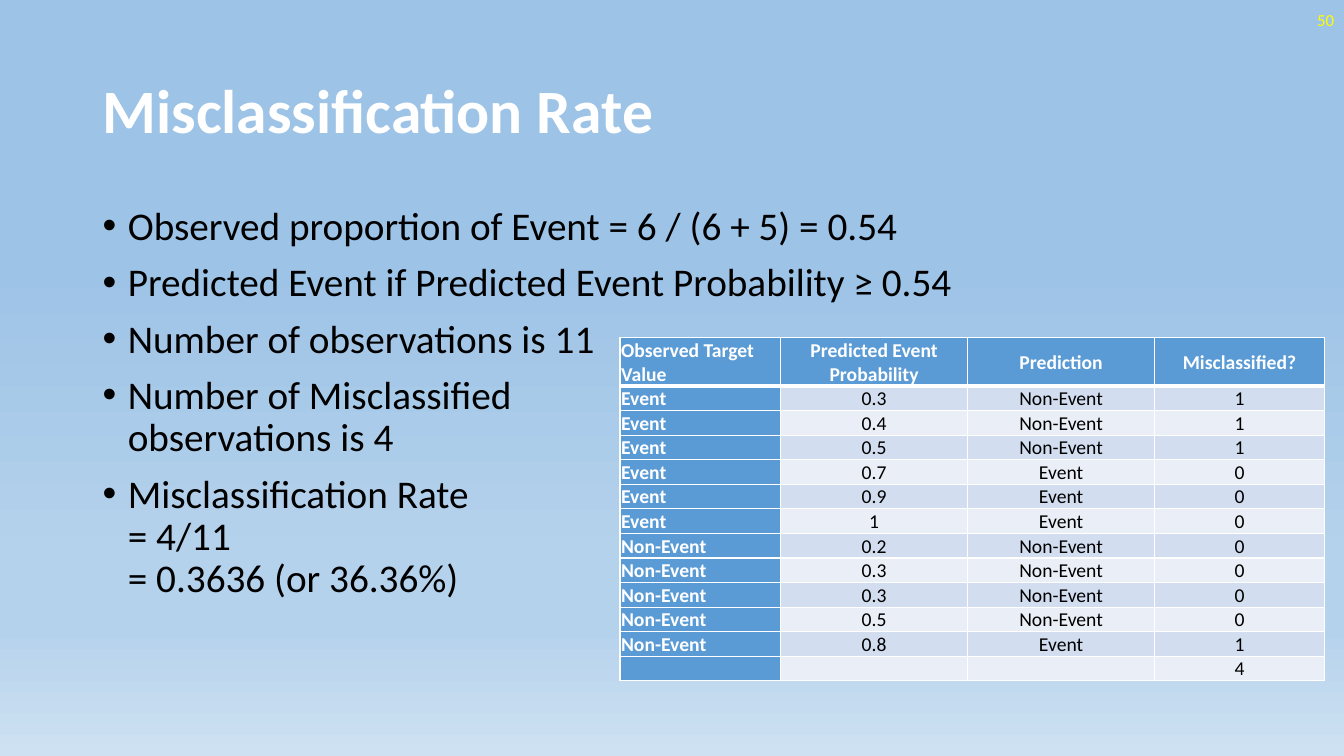
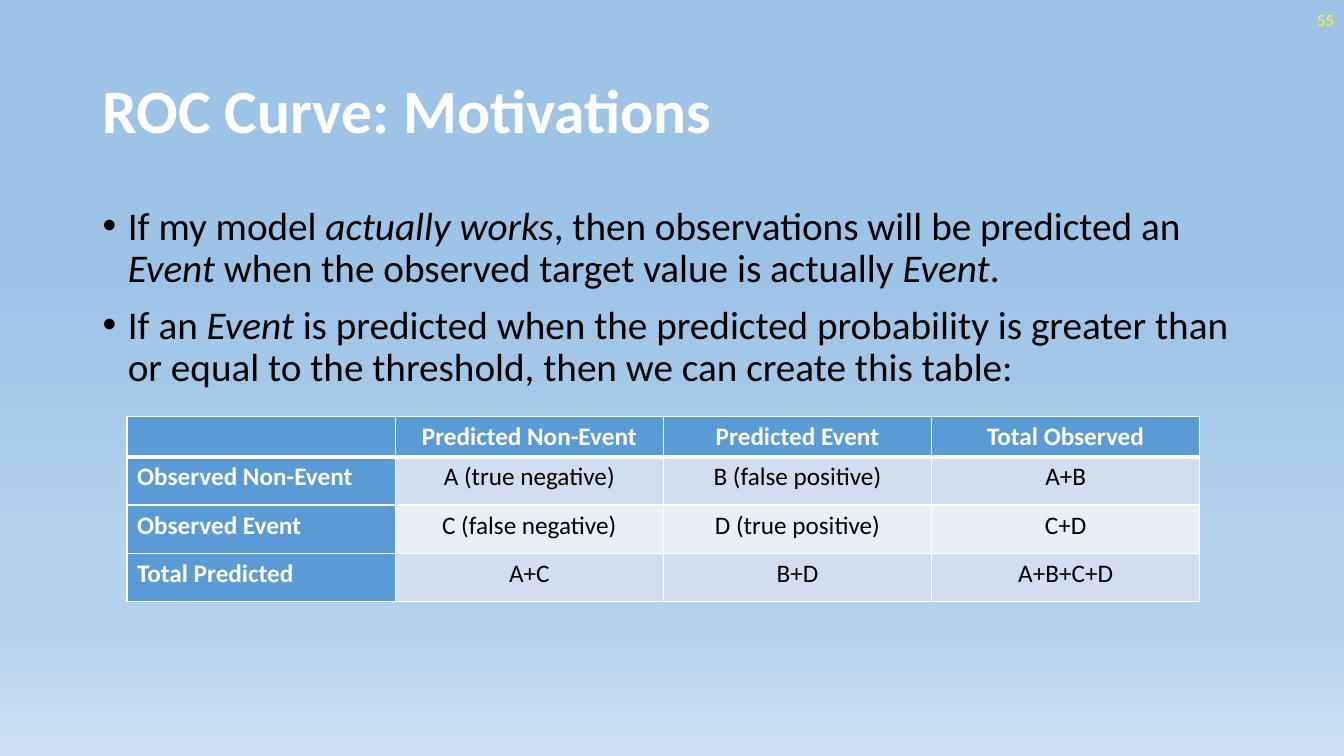
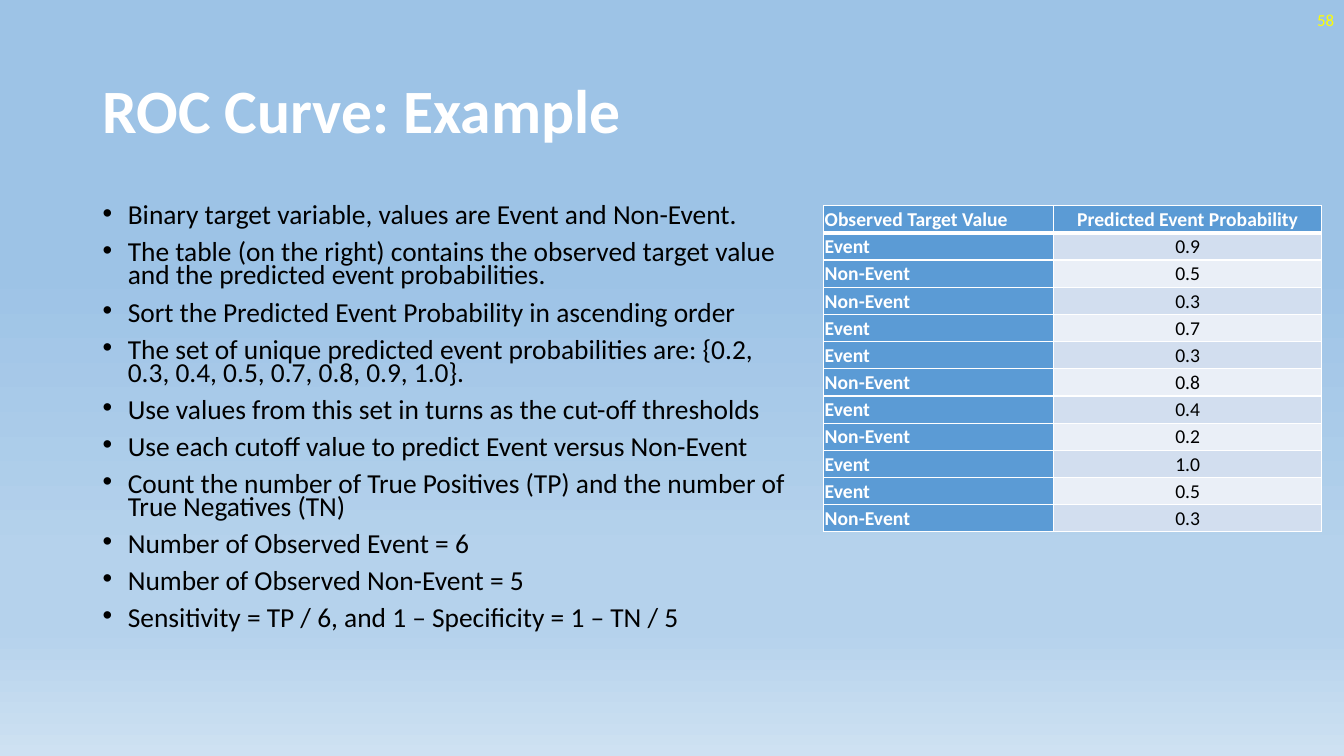
from dataclasses import dataclass

from pptx import Presentation
from pptx.dml.color import RGBColor
from pptx.enum.text import MSO_ANCHOR, PP_ALIGN
from pptx.oxml import parse_xml
from pptx.oxml.ns import nsdecls, qn
from pptx.oxml.xmlchemy import OxmlElement
from pptx.util import Inches, Pt


@dataclass(frozen=True)
class Theme:
    font: str = "Calibri"
    white: str = "FFFFFF"
    black: str = "000000"
    yellow: str = "FFFF00"
    accent: str = "5B9BD5"
    bands: tuple = ("D2DEEF", "EAEFF7")
    gradient: tuple = ((35, "9DC3E6"), (74, "B5D2EC"), (83, "B5D2EC"), (100, "CEE1F2"))
    title_size: float = 44
    body_size: float = 28
    small_body_size: float = 19.6
    table_size: float = 18
    dense_table_size: float = 14
    number_size: float = 12
    thin_line: float = 1
    thick_line: float = 3


class Deck:
    """Builds slides in one style, keeping the theme and the current slide."""

    def __init__(self, theme):
        self.theme = theme
        self.slide = None
        self.presentation = Presentation()
        self.presentation.slide_width = Inches(13.33)
        self.presentation.slide_height = Inches(7.5)
        self.paint_background()

    def paint_background(self):
        master = self.presentation.slide_master
        fill = master.background.fill
        fill.gradient()
        fill.gradient_angle = 270
        stops = "".join(
            f'<a:gs pos="{position * 1000}"><a:srgbClr val="{color}"/></a:gs>'
            for position, color in self.theme.gradient
        )
        stop_list = next(master.element.iter(qn("a:gsLst")))
        stop_list.getparent().replace(
            stop_list, parse_xml(f"<a:gsLst {nsdecls('a')}>{stops}</a:gsLst>")
        )

    def add_slide(self, title, number):
        theme = self.theme
        self.slide = self.presentation.slides.add_slide(self.presentation.slide_layouts[6])
        frame = self.add_text_frame(0.92, 0.4, 11.5, 1.45, MSO_ANCHOR.MIDDLE)
        paragraph = frame.paragraphs[0]
        paragraph.text = title
        paragraph.line_spacing = 0.9
        self.set_font(paragraph, theme.title_size, theme.white, bold=True)
        frame = self.add_text_frame(10.33, 0, 3, 0.4, MSO_ANCHOR.MIDDLE)
        paragraph = frame.paragraphs[0]
        paragraph.text = number
        paragraph.alignment = PP_ALIGN.RIGHT
        self.set_font(paragraph, theme.number_size, theme.yellow)

    def add_text_frame(self, left, top, width, height, anchor):
        box = self.slide.shapes.add_textbox(
            Inches(left), Inches(top), Inches(width), Inches(height)
        )
        frame = box.text_frame
        frame.word_wrap = True
        frame.vertical_anchor = anchor
        return frame

    def set_font(self, paragraph, size, color, bold=False):
        font = paragraph.font
        font.name = self.theme.font
        font.size = Pt(size)
        font.bold = bold
        font.color.rgb = RGBColor.from_string(color)

    def add_bullets(self, items, width=11.5, size=None, line_spacing=0.9):
        frame = self.add_text_frame(0.92, 2, width, 4.76, MSO_ANCHOR.TOP)
        for index, item in enumerate(items):
            paragraph = frame.add_paragraph() if index else frame.paragraphs[0]
            self.write_emphasis(paragraph, item)
            paragraph.line_spacing = line_spacing
            paragraph.space_before = Pt(10)
            self.set_font(paragraph, size or self.theme.body_size, self.theme.black)
            self.set_bullet(paragraph)

    def write_emphasis(self, paragraph, text):
        if "*" not in text:
            paragraph.text = text
            return
        for index, part in enumerate(text.split("*")):
            run = paragraph.add_run()
            run.text = part
            run.font.italic = index % 2 == 1

    def set_bullet(self, paragraph):
        properties = paragraph._p.get_or_add_pPr()
        properties.set("marL", str(Inches(0.25)))
        properties.set("indent", str(-Inches(0.25)))
        typeface = OxmlElement("a:buFont")
        typeface.set("typeface", "Arial")
        bullet = OxmlElement("a:buChar")
        bullet.set("char", "•")
        defaults = properties.find(qn("a:defRPr"))
        defaults.addprevious(typeface)
        defaults.addprevious(bullet)

    def add_table(self, left, top, widths, heights, rows, dense=True):
        shape = self.slide.shapes.add_table(
            len(rows), len(widths), Inches(left), Inches(top),
            Inches(sum(widths)), Inches(sum(heights)),
        )
        table = shape.table
        table.first_col = True
        for column, width in zip(table.columns, widths):
            column.width = Inches(width)
        for row, height in zip(table.rows, heights):
            row.height = Inches(height)
        for row_index, values in enumerate(rows):
            for column_index, value in enumerate(values):
                cell = table.cell(row_index, column_index)
                self.fill_cell(cell, value, row_index, column_index, dense)

    def fill_cell(self, cell, value, row_index, column_index, dense):
        theme = self.theme
        heading = row_index == 0 or column_index == 0
        fill_color = theme.accent if heading else theme.bands[(row_index - 1) % 2]
        self.set_borders(cell, row_index)
        cell.fill.solid()
        cell.fill.fore_color.rgb = RGBColor.from_string(fill_color)
        if dense:
            cell.vertical_anchor = MSO_ANCHOR.MIDDLE
            cell.margin_left = cell.margin_right = cell.margin_top = Inches(0.01)
            cell.margin_bottom = 0
        paragraph = cell.text_frame.paragraphs[0]
        paragraph.text = value
        paragraph.alignment = PP_ALIGN.CENTER if column_index else PP_ALIGN.LEFT
        size = theme.dense_table_size if dense else theme.table_size
        self.set_font(paragraph, size, theme.white if heading else theme.black, heading)

    def set_borders(self, cell, row_index):
        theme = self.theme
        properties = cell._tc.get_or_add_tcPr()
        thick_side = {0: "B", 1: "T"}.get(row_index)
        for side in "LRTB":
            width = theme.thick_line if side == thick_side else theme.thin_line
            properties.append(parse_xml(
                f'<a:ln{side} {nsdecls("a")} w="{Pt(width)}"><a:solidFill>'
                f'<a:srgbClr val="{theme.white}"/></a:solidFill></a:ln{side}>'
            ))


def add_misclassification_slide(deck):
    deck.add_slide("Misclassification Rate", "50")
    deck.add_bullets([
        "Observed proportion of Event = 6 / (6 + 5) = 0.54",
        "Predicted Event if Predicted Event Probability ≥ 0.54",
        "Number of observations is 11",
        "Number of Misclassified\nobservations is 4",
        "Misclassification Rate\n= 4/11\n= 0.3636 (or 36.36%)",
    ])
    rows = [
        ("Observed Target Value", "Predicted Event Probability", "Prediction", "Misclassified?"),
        ("Event", "0.3", "Non-Event", "1"),
        ("Event", "0.4", "Non-Event", "1"),
        ("Event", "0.5", "Non-Event", "1"),
        ("Event", "0.7", "Event", "0"),
        ("Event", "0.9", "Event", "0"),
        ("Event", "1", "Event", "0"),
        ("Non-Event", "0.2", "Non-Event", "0"),
        ("Non-Event", "0.3", "Non-Event", "0"),
        ("Non-Event", "0.3", "Non-Event", "0"),
        ("Non-Event", "0.5", "Non-Event", "0"),
        ("Non-Event", "0.8", "Event", "1"),
        ("", "", "", "4"),
    ]
    deck.add_table(6.15, 3.35, [1.59, 1.86, 1.85, 1.69], [0.48] + [0.24] * 12, rows)


def add_motivations_slide(deck):
    deck.add_slide("ROC Curve: Motivations", "55")
    deck.add_bullets([
        "If my model *actually works*, then observations will be predicted an *Event* "
        "when the observed target value is actually *Event*.",
        "If an *Event* is predicted when the predicted probability is greater than "
        "or equal to the threshold, then we can create this table:",
    ])
    rows = [
        ("", "Predicted Non-Event", "Predicted Event", "Total Observed"),
        ("Observed Non-Event", "A (true negative)", "B (false positive)", "A+B"),
        ("Observed Event", "C (false negative)", "D (true positive)", "C+D"),
        ("Total Predicted", "A+C", "B+D", "A+B+C+D"),
    ]
    deck.add_table(1.26, 4.13, [2.66] * 4, [0.4] + [0.48] * 3, rows, dense=False)


def add_example_slide(deck):
    deck.add_slide("ROC Curve: Example", "58")
    deck.add_bullets([
        "Binary target variable, values are Event and Non-Event.",
        "The table (on the right) contains the observed target value "
        "and the predicted event probabilities.",
        "Sort the Predicted Event Probability in ascending order",
        "The set of unique predicted event probabilities are: "
        "{0.2, 0.3, 0.4, 0.5, 0.7, 0.8, 0.9, 1.0}.",
        "Use values from this set in turns as the cut-off thresholds",
        "Use each cutoff value to predict Event versus Non-Event",
        "Count the number of True Positives (TP) and the number of True Negatives (TN)",
        "Number of Observed Event = 6",
        "Number of Observed Non-Event = 5",
        "Sensitivity = TP / 6, and 1 – Specificity = 1 – TN / 5",
    ], width=7.07, size=deck.theme.small_body_size, line_spacing=0.7)
    rows = [
        ("Observed Target Value", "Predicted Event Probability"),
        ("Event", "0.9"),
        ("Non-Event", "0.5"),
        ("Non-Event", "0.3"),
        ("Event", "0.7"),
        ("Event", "0.3"),
        ("Non-Event", "0.8"),
        ("Event", "0.4"),
        ("Non-Event", "0.2"),
        ("Event", "1.0"),
        ("Event", "0.5"),
        ("Non-Event", "0.3"),
    ]
    deck.add_table(8.17, 2.04, [2.28, 2.66], [0.27] * 12, rows)


def main():
    deck = Deck(Theme())
    add_misclassification_slide(deck)
    add_motivations_slide(deck)
    add_example_slide(deck)
    deck.presentation.save("out.pptx")


if __name__ == "__main__":
    main()
